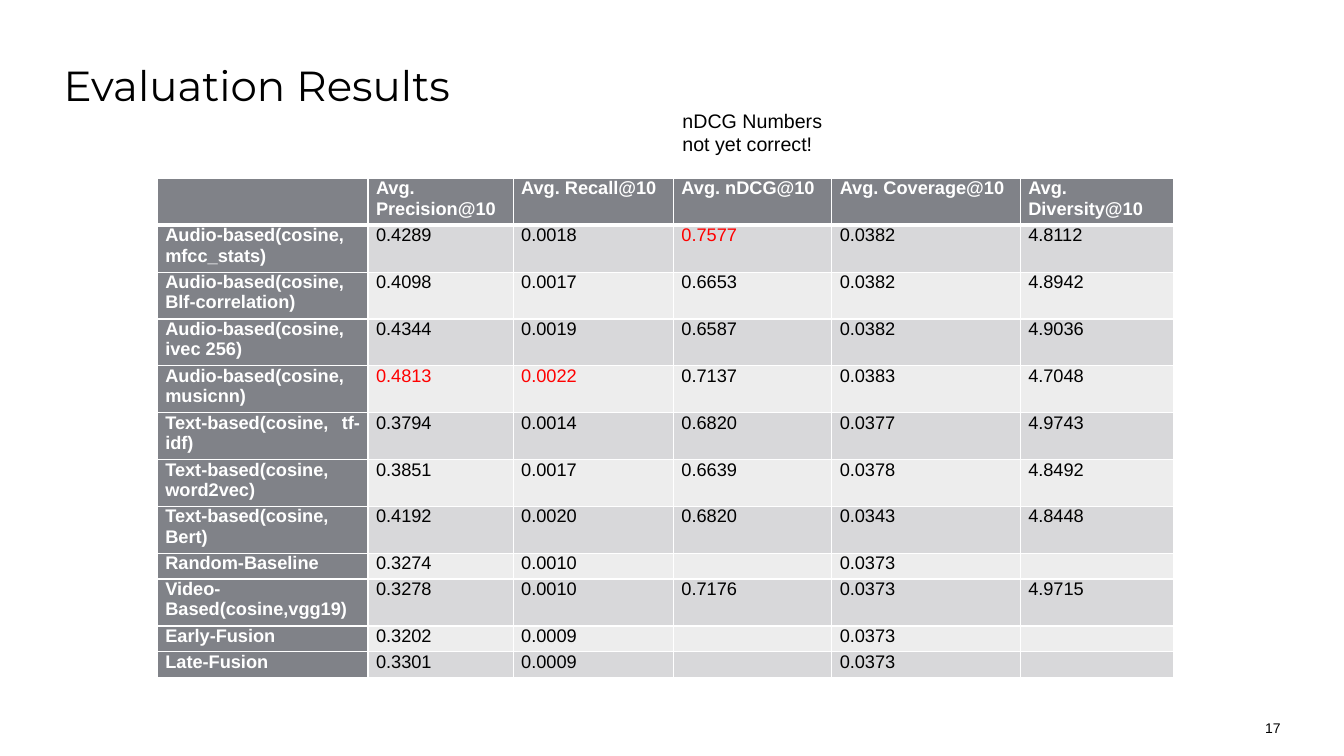
from dataclasses import dataclass

from lxml.etree import SubElement
from pptx import Presentation
from pptx.dml.color import RGBColor as Rgb
from pptx.enum.text import MSO_ANCHOR as Anchor, PP_ALIGN as Align
from pptx.oxml.ns import qn
from pptx.util import Inches, Pt


@dataclass(frozen=True)
class Theme:
    """Colours, fonts and type sizes of the slide."""
    black: str = "000000"
    white: str = "FFFFFF"
    best: str = "FF0000"
    header: str = "808288"
    bands: tuple = ("D8D8DA", "EDEDED")
    title_font: str = "Montserrat"
    body_font: str = "Arial"
    title_size: int = 30
    note_size: int = 14
    table_size: int = 13
    number_size: int = 10


THEME = Theme()
METRICS = ["", "Avg. Precision@10", "Avg. Recall@10", "Avg. nDCG@10",
           "Avg. Coverage@10", "Avg. Diversity@10"]
RESULTS = [
    ["Audio-based(cosine, mfcc_stats)", "0.4289", "0.0018", "0.7577", "0.0382", "4.8112"],
    ["Audio-based(cosine,\nBlf-correlation)", "0.4098", "0.0017", "0.6653", "0.0382", "4.8942"],
    ["Audio-based(cosine, ivec 256)", "0.4344", "0.0019", "0.6587", "0.0382", "4.9036"],
    ["Audio-based(cosine,\nmusicnn)", "0.4813", "0.0022", "0.7137", "0.0383", "4.7048"],
    ["Text-based(cosine, tf-idf)", "0.3794", "0.0014", "0.6820", "0.0377", "4.9743"],
    ["Text-based(cosine,\nword2vec)", "0.3851", "0.0017", "0.6639", "0.0378", "4.8492"],
    ["Text-based(cosine,\nBert)", "0.4192", "0.0020", "0.6820", "0.0343", "4.8448"],
    ["Random-Baseline", "0.3274", "0.0010", "", "0.0373", ""],
    ["Video-Based(cosine,vgg19)", "0.3278", "0.0010", "0.7176", "0.0373", "4.9715"],
    ["Early-Fusion", "0.3202", "0.0009", "", "0.0373", ""],
    ["Late-Fusion", "0.3301", "0.0009", "", "0.0373", ""],
]
BEST_SCORES = {"0.7577", "0.4813", "0.0022"}
SINGLE_LINE = {"Random-Baseline", "Early-Fusion", "Late-Fusion"}
COLUMN_WIDTHS = [2.09, 1.44, 1.59, 1.57, 1.87, 1.52]
TALL_ROW, SHORT_ROW = 0.465, 0.255


def write(frame, text, size, font=THEME.body_font, color=THEME.black, bold=False,
          align=Align.LEFT, anchor=Anchor.TOP, spacing=None):
    """Fill a text frame, one paragraph per line of text."""
    frame.word_wrap = True
    frame.vertical_anchor = anchor
    frame.text = text
    for paragraph in frame.paragraphs:
        paragraph.alignment = align
        paragraph.line_spacing = spacing
        paragraph._p.get_or_add_endParaRPr().set("sz", str(size * 100))
        for run in paragraph.runs:
            run.font.size = Pt(size)
            run.font.name = font
            run.font.bold = bold
            run.font.color.rgb = Rgb.from_string(color)


def add_title(slide, left, top, width, height):
    """Place and format the title placeholder."""
    title = slide.shapes.title
    title.left, title.top = Inches(left), Inches(top)
    title.width, title.height = Inches(width), Inches(height)
    write(title.text_frame, "Evaluation Results", THEME.title_size,
          font=THEME.title_font, spacing=0.83)


def add_label(slide, text, left, top, width, height, **style):
    """Add a free text box."""
    label = slide.shapes.add_textbox(Inches(left), Inches(top), Inches(width), Inches(height))
    write(label.text_frame, text, **style)


def add_borders(cell, bottom):
    """Draw white borders round a cell, with the given bottom width in points."""
    properties = cell._tc.get_or_add_tcPr()
    for side, points in (("L", 1), ("R", 1), ("T", 1), ("B", bottom)):
        line = SubElement(properties, qn(f"a:ln{side}"), w=str(Pt(points)))
        SubElement(SubElement(line, qn("a:solidFill")), qn("a:srgbClr"), val=THEME.white)


def format_cell(cell, text, row, column):
    """Write and colour one cell by its place in the table."""
    is_header = row == 0 or column == 0
    cell.margin_left = cell.margin_right = Inches(0.08)
    cell.margin_top = cell.margin_bottom = 0
    color = THEME.white if is_header else THEME.best if text in BEST_SCORES else THEME.black
    write(cell.text_frame, text, THEME.table_size, color=color, bold=is_header,
          align=Align.JUSTIFY)
    add_borders(cell, bottom=3 if row == 0 else 1)
    cell.fill.solid()
    cell.fill.fore_color.rgb = Rgb.from_string(
        THEME.header if is_header else THEME.bands[(row - 1) % 2])


def add_results(slide, left, top, width, height):
    """Add the table of scores by method and metric."""
    rows = [METRICS] + RESULTS
    results = slide.shapes.add_table(len(rows), len(METRICS), Inches(left), Inches(top),
                                     Inches(width), Inches(height)).table
    for column, column_width in zip(results.columns, COLUMN_WIDTHS):
        column.width = Inches(column_width)
    for row, texts in enumerate(rows):
        results.rows[row].height = Inches(SHORT_ROW if texts[0] in SINGLE_LINE else TALL_ROW)
        for column, text in enumerate(texts):
            format_cell(results.cell(row, column), text, row, column)


def main():
    """Build the slide and save it."""
    deck = Presentation()
    deck.slide_width, deck.slide_height = Inches(13.33), Inches(7.5)
    slide = deck.slides.add_slide(deck.slide_layouts[5])
    add_title(slide, 0.53, 0.63, 12.17, 1.08)
    add_results(slide, 1.56, 1.77, 10.09, 4.94)
    add_label(slide, "17", 12.05, 6.95, 0.75, 0.4, size=THEME.number_size,
              align=Align.RIGHT, anchor=Anchor.BOTTOM)
    add_label(slide, "nDCG Numbers\nnot yet correct!", 6.67, 1.03, 2.2, 0.57,
              size=THEME.note_size)
    deck.save("out.pptx")


if __name__ == "__main__":
    main()
